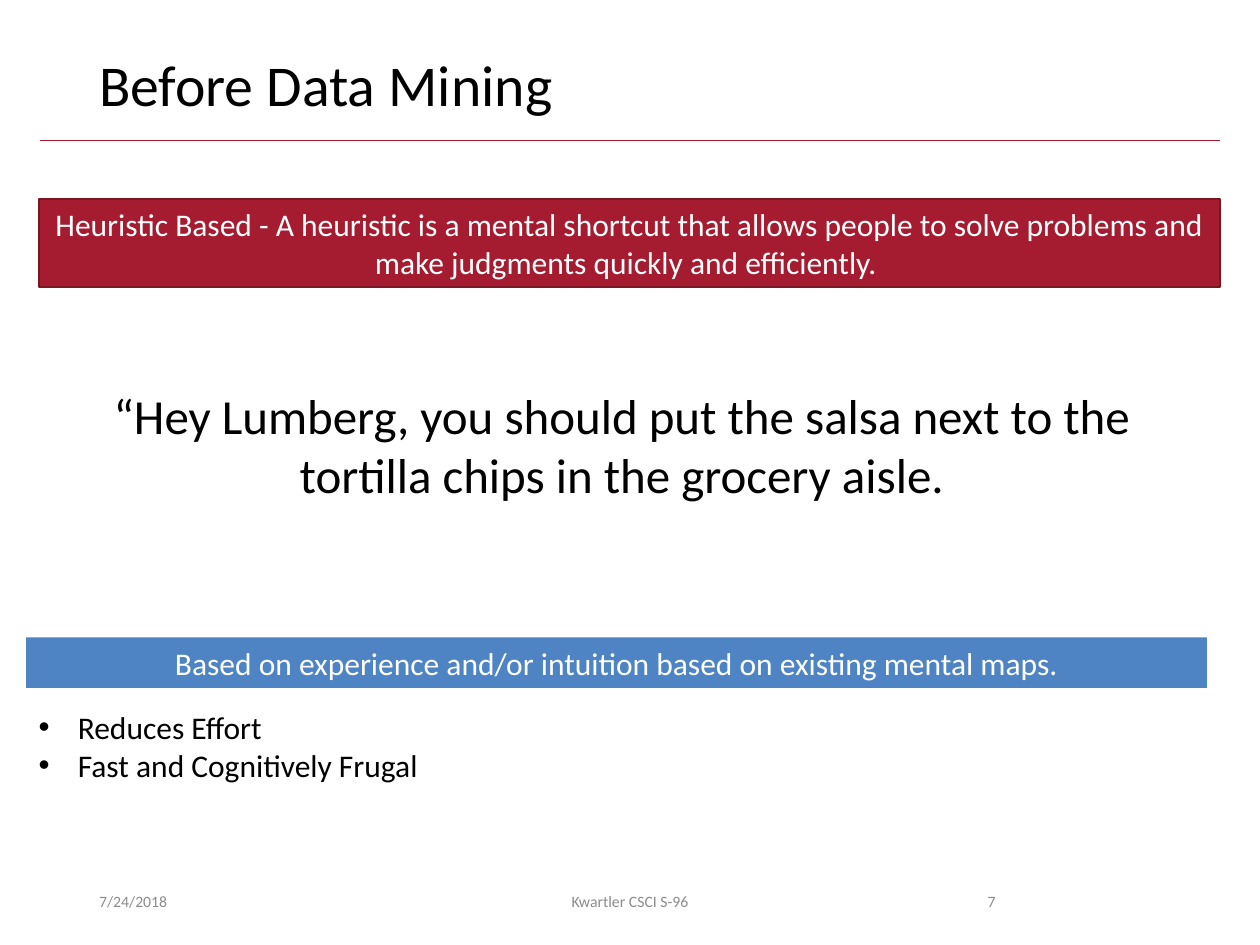
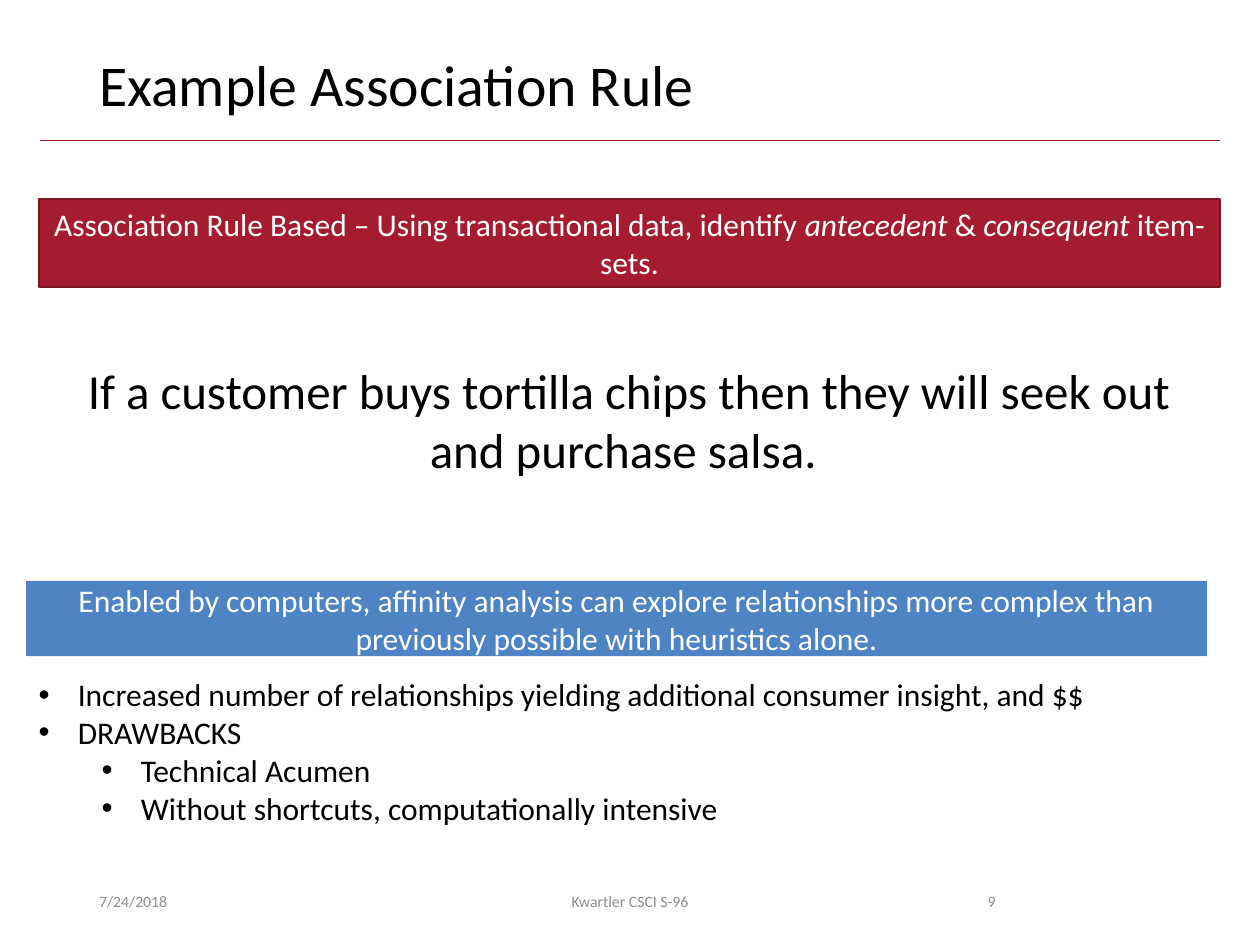
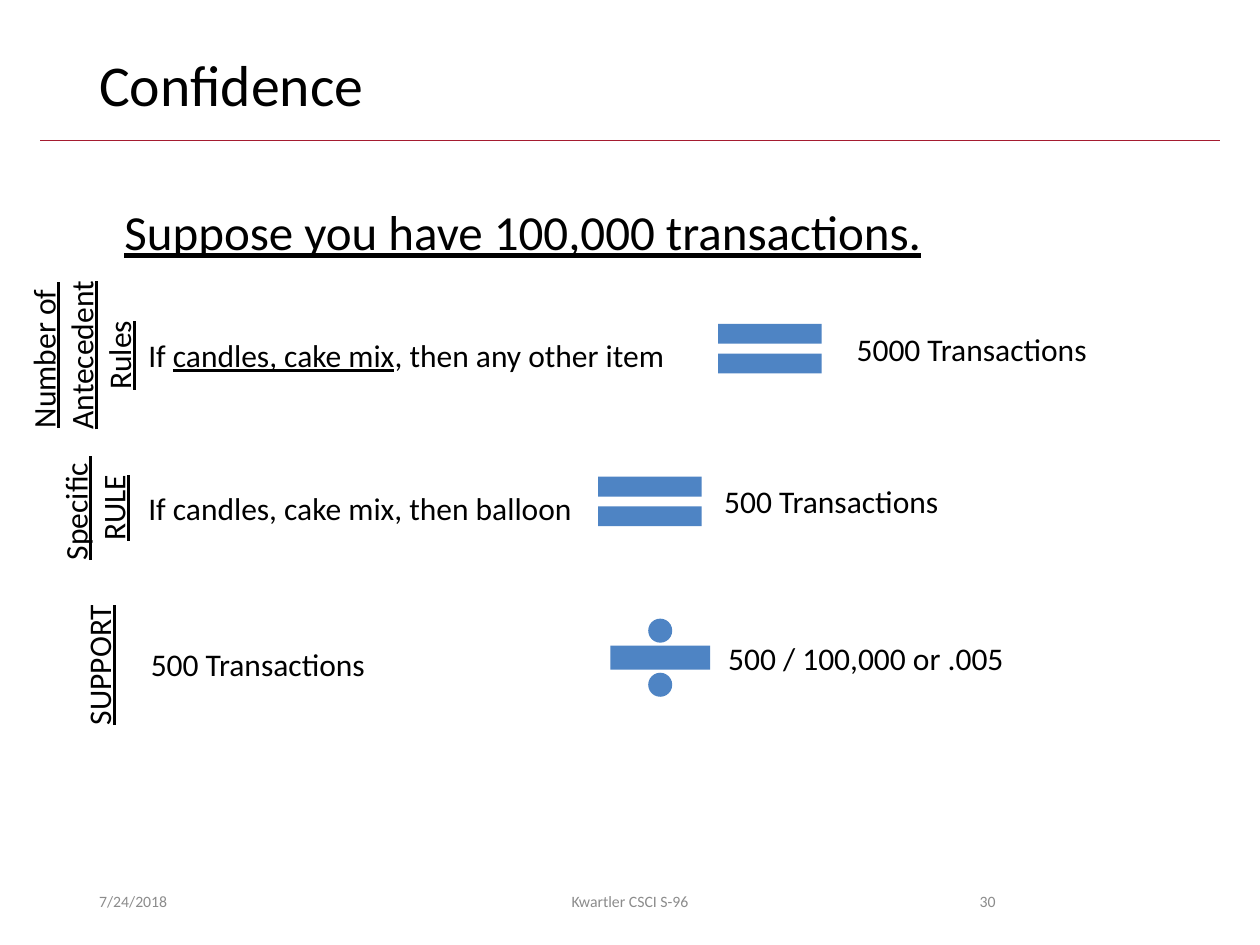
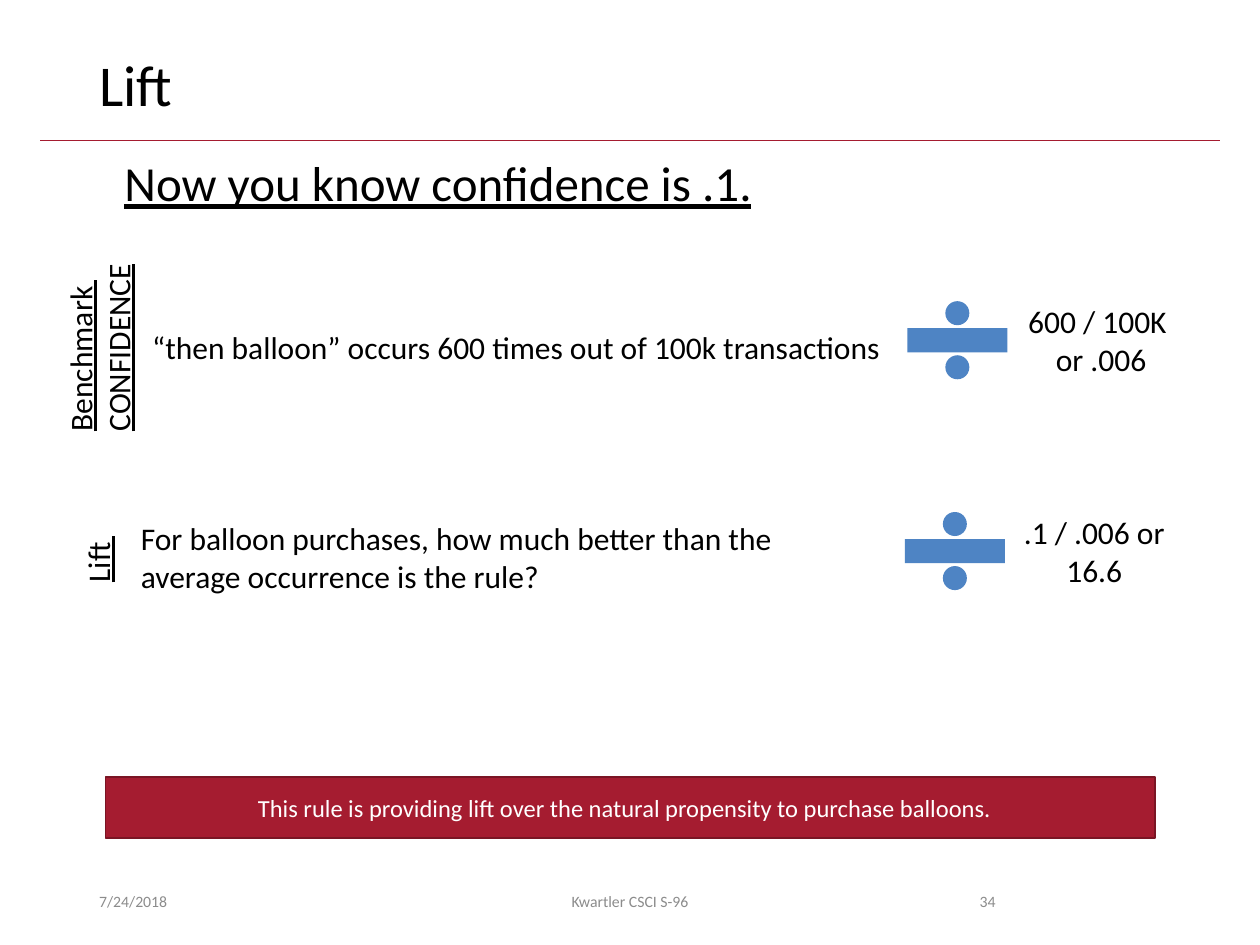
import pptx
import pptx.util
import pptx.dml.color
import pptx.enum.shapes
import pptx.enum.text
import pptx.oxml
import pptx.oxml.ns
import lxml.etree

Cm = pptx.util.Cm
Pt = pptx.util.Pt
ALIGN = pptx.enum.text.PP_ALIGN
ANCHOR = pptx.enum.text.MSO_ANCHOR
SHAPE = pptx.enum.shapes.MSO_SHAPE

FONT = "Calibri"
COLORS = {
    "text": "000000",
    "light": "FFFFFF",
    "muted": "8C8C8C",
    "crimson": "A51C30",
    "crimson_edge": "7A1524",
    "blue": "4E84C4",
}
BODY_SIZE, LEAD_SIZE = 18, 28
BAND_LEFT, BAND_WIDTH = 0.79, 23.8
BLUE_LEFT = 0.53
SIGN_SIZES = {SHAPE.MATH_EQUAL: (2.84, 1.7), SHAPE.MATH_DIVIDE: (2.74, 2.06)}
RESULT_RISE = 0.13  # signs and results sit a little above their statement


def color(name):
    return pptx.dml.color.RGBColor.from_string(COLORS[name])


def lengths(box):
    return [Cm(value) for value in box]


def text_height(lines):
    """Height in cm of a body text box with this many lines."""
    return 0.25 + 0.77 * lines


# ---- Text ----

def write(frame, paras, size=BODY_SIZE, ink="text", align=ALIGN.LEFT):
    """Each para is a string or a list of (words, style); style holds i or u."""
    for index, content in enumerate(paras):
        para = frame.paragraphs[0] if index == 0 else frame.add_paragraph()
        para.alignment = align
        for words, style in [(content, "")] if isinstance(content, str) else content:
            span = para.add_run()
            span.text = words
            span.font.name = FONT
            span.font.size = Pt(size)
            span.font.color.rgb = color(ink)
            if "i" in style:
                span.font.italic = True
            if "u" in style:
                span.font.underline = True


def add_text(page, box, paras, wrap=True, anchor=ANCHOR.TOP, grow=True, **style):
    shape = page.shapes.add_textbox(*lengths(box))
    frame = shape.text_frame
    frame.word_wrap = wrap
    frame.vertical_anchor = anchor
    if grow:
        frame.auto_size = pptx.enum.text.MSO_AUTO_SIZE.SHAPE_TO_FIT_TEXT
    write(frame, paras, **style)
    return shape


def add_bullets(page, box, items):
    """Items are (level, words)."""
    shape = add_text(page, box, [words for level, words in items], wrap=False)
    for para, (level, words) in zip(shape.text_frame.paragraphs, items):
        para.level = level
        props = para._p.get_or_add_pPr()
        props.set("marL", str(Cm(0.79 + 1.27 * level)))
        props.set("indent", str(Cm(-0.79)))
        font = lxml.etree.SubElement(props, pptx.oxml.ns.qn("a:buFont"))
        font.set("typeface", "Arial")
        mark = lxml.etree.SubElement(props, pptx.oxml.ns.qn("a:buChar"))
        mark.set("char", "•")


# ---- Filled shapes ----

def add_filled(page, kind, box, fill, edge=None):
    shape = page.shapes.add_shape(kind, *lengths(box))
    shape.shadow.inherit = False
    shape.fill.solid()
    shape.fill.fore_color.rgb = color(fill)
    if edge:
        shape.line.color.rgb = color(edge)
        shape.line.width = Pt(1)
    else:
        shape.line.fill.background()
    return shape


def add_band(page, box, content, fill, edge=None, size=BODY_SIZE):
    frame = add_filled(page, SHAPE.RECTANGLE, box, fill, edge).text_frame
    frame.word_wrap = True
    frame.vertical_anchor = ANCHOR.MIDDLE
    write(frame, [content], size, "light", ALIGN.CENTER)


# ---- Parts every slide shares ----

def add_footer(page, top, number):
    for left, width, words, align in [
        (1.75, 5.72, "7/24/2018", ALIGN.LEFT),
        (8.41, 8.58, "Kwartler CSCI S-96", ALIGN.CENTER),
        (17.93, 2.39, str(number), ALIGN.RIGHT),
    ]:
        add_text(page, (left, top, width, 1.02), [words], anchor=ANCHOR.MIDDLE,
                 grow=False, size=9, ink="muted", align=align)


def add_page(deck, title, number):
    page = deck.slides.add_slide(deck.slide_layouts[6])
    rule = page.shapes.add_connector(
        pptx.enum.shapes.MSO_CONNECTOR.STRAIGHT, *lengths((0.81, 2.84, 24.59, 2.84)))
    rule.line.color.rgb = color("crimson")
    rule.line.width = Pt(0.5)
    lxml.etree.SubElement(rule._element.spPr, pptx.oxml.ns.qn("a:effectLst"))
    heading = add_text(page, (1.75, 1.02, 21.9, 1.65), [title], grow=False, size=33)
    heading.text_frame.paragraphs[0].line_spacing = 0.9
    add_footer(page, 17.65, number)
    return page


# ---- Slide types ----

def approach_slide(deck, title, number, definition, quote_box, quote,
                   basis_box, basis, bullet_box, bullets):
    page = add_page(deck, title, number)
    add_band(page, (BAND_LEFT, 4.01, BAND_WIDTH, 1.78), definition,
             "crimson", "crimson_edge")
    add_text(page, quote_box, [quote], size=LEAD_SIZE, align=ALIGN.CENTER)
    add_band(page, basis_box, basis, "blue")
    add_bullets(page, bullet_box, bullets)


def add_step(page, middle, label, statement, sign, result):
    """One row around the height middle: turned label, statement, sign, result."""
    # Label, turned to read upwards
    center, width, names, align = label
    height = text_height(len(names))
    turned = add_text(page, (center - width / 2, middle - height / 2, width, height),
                      [[(name, "u")] for name in names], wrap=False, align=align)
    turned.rotation = 270

    # Statement
    left, width, lines, content = statement
    height = text_height(lines)
    add_text(page, (left, middle - height / 2, width, height), [content], wrap=lines > 1)

    # Sign and result share one centre line
    middle -= RESULT_RISE
    kind, left = sign
    width, height = SIGN_SIZES[kind]
    add_filled(page, kind, (left, middle - height / 2, width, height), "blue")
    left, width, paras = result
    height = text_height(len(paras))
    add_text(page, (left, middle - height / 2, width, height), paras, wrap=False,
             align=ALIGN.CENTER if len(paras) > 1 else ALIGN.LEFT)


def steps_slide(deck, title, number, lead_box, lead, steps):
    page = add_page(deck, title, number)
    add_text(page, lead_box, [[(lead, "u")]], wrap=False, size=LEAD_SIZE)
    for step in steps:
        add_step(page, *step)
    return page


# ---- The deck ----

deck = pptx.Presentation()
deck.slide_width, deck.slide_height = Cm(25.4), Cm(19.05)

approach_slide(
    deck, "Before Data Mining ", 7,
    "Heuristic Based - A\u00a0heuristic\u00a0is a mental shortcut that allows people "
    "to solve problems and make judgments quickly and efficiently.\u00a0",
    (0.76, 7.65, 23.55, 2.64),
    "“Hey Lumberg, you should put the salsa next to the tortilla chips "
    "in the grocery aisle.",
    (BLUE_LEFT, 12.85, BAND_WIDTH, 1.02),
    "Based on experience and/or intuition based on existing mental maps.",
    (BLUE_LEFT, 14.15, 8.26, 1.8),
    [(0, "Reduces Effort"), (0, "Fast and Cognitively Frugal")])

approach_slide(
    deck, "Example Association Rule", 9,
    [("Association Rule Based – Using transactional data, identify ", ""),
     ("antecedent", "i"), (" & ", ""), ("consequent", "i"), (" item-sets.", "")],
    (0.66, 7.14, 24.03, 2.64),
    "If a customer buys tortilla chips then they will seek out and purchase salsa. ",
    (BLUE_LEFT, 11.71, BAND_WIDTH, 1.52),
    "Enabled by computers, affinity analysis can explore relationships more complex "
    "than previously possible with heuristics alone.",
    (BLUE_LEFT, 13.49, 21.87, 3.33),
    [(0, "Increased number of relationships yielding additional consumer insight, and $$"),
     (0, "DRAWBACKS"),
     (1, "Technical Acumen"),
     (1, "Without shortcuts, computationally intensive")])

steps_slide(
    deck, "Confidence", 30, (2.26, 3.94, 16.79, 1.44),
    "Suppose you have 100,000 transactions.",
    [(7.16, (1.64, 3.53, ["Number of ", "Antecedent", "Rules"], ALIGN.CENTER),
      (2.74, 11.05, 1, [("If ", ""), ("candles, cake mix", "u"),
                        (", then any other item", "")]),
      (SHAPE.MATH_EQUAL, 14.1), (17.02, 5.21, ["5000 Transactions"])),
     (10.24, (1.9, 2.64, ["Specific ", "RULE"], ALIGN.CENTER),
      (2.74, 9.14, 1, "If candles, cake mix, then balloon"),
      (SHAPE.MATH_EQUAL, 11.68), (14.35, 4.88, ["500 Transactions"])),
     (13.39, (1.99, 2.95, ["SUPPORT"], ALIGN.LEFT),
      (2.79, 5.03, 1, "500 Transactions"),
      (SHAPE.MATH_DIVIDE, 11.94), (14.43, 6.12, ["500 / 100,000 or .005"]))])

lift_page = steps_slide(
    deck, "Lift", 34, (2.26, 2.95, 13.31, 1.44),
    "Now you know confidence is .1.",
    [(6.99, (2, 3.91, ["Benchmark ", "CONFIDENCE"], ALIGN.LEFT),
      (2.82, 15.37, 1, "“then balloon” occurs 600 times out of 100k transactions"),
      (SHAPE.MATH_DIVIDE, 17.93), (20.45, 3.35, ["600 / 100K", " or .006"])),
     (11.24, (1.97, 1.5, ["Lift "], ALIGN.LEFT),
      (2.59, 14.45, 2, "For balloon purchases, how much better than the average "
                       "occurrence is the rule?"),
      (SHAPE.MATH_DIVIDE, 17.88), (20.37, 3.38, [".1 / .006 or", "16.6"]))])
add_band(lift_page, (2.13, 15.67, 21.16, 1.22),
         "This rule is providing lift over the natural propensity to purchase balloons.  ",
         "crimson", "crimson_edge", size=14)

deck.save("out.pptx")
